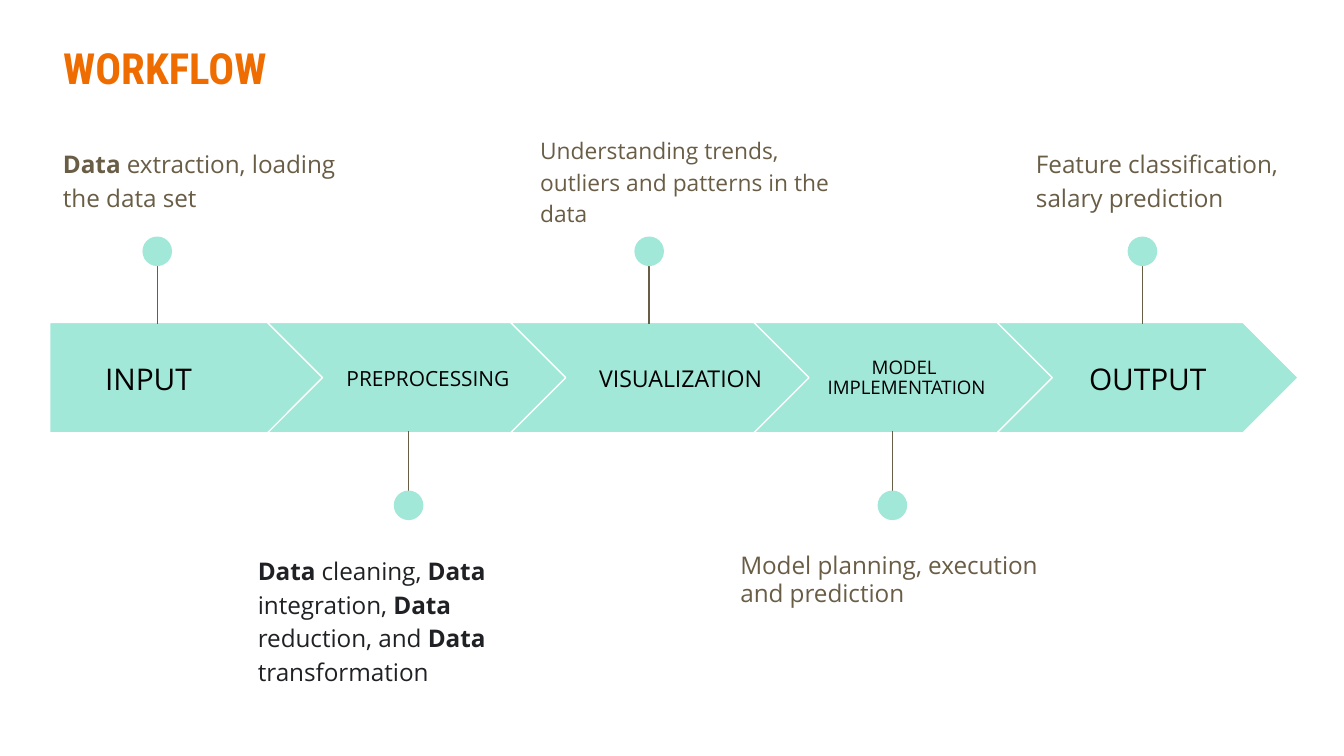
import pptx
import pptx.util
import pptx.dml.color
import pptx.enum.shapes
import pptx.enum.text
import pptx.oxml
import pptx.oxml.ns

Inches = pptx.util.Inches
Pt = pptx.util.Pt
RGBColor = pptx.dml.color.RGBColor
Shape = pptx.enum.shapes.MSO_SHAPE
Align = pptx.enum.text.PP_ALIGN
Anchor = pptx.enum.text.MSO_ANCHOR

MINT = RGBColor(0xA1, 0xE8, 0xD9)
WHITE = RGBColor(0xFF, 0xFF, 0xFF)
BLACK = RGBColor(0x00, 0x00, 0x00)
BROWN = RGBColor(0x69, 0x5D, 0x46)
DARK = RGBColor(0x20, 0x21, 0x24)
ORANGE = RGBColor(0xEF, 0x6C, 0x00)


class Deck:
    font = "Open Sans"
    head = "Roboto Condensed"
    inset = Inches(0.1)
    thin = Pt(0.75)
    dot = 0.22

    def __init__(self, wide):
        self.file = pptx.Presentation()
        self.file.slide_width = Inches(wide)
        self.file.slide_height = Inches(wide * 9 / 16)
        self.slide = self.file.slides.add_slide(self.file.slide_layouts[5])

    def frame(self, shape, anchor):
        frame = shape.text_frame
        frame.word_wrap = True
        frame.auto_size = pptx.enum.text.MSO_AUTO_SIZE.NONE
        frame.vertical_anchor = anchor
        frame.margin_left = frame.margin_right = self.inset
        frame.margin_top = frame.margin_bottom = self.inset
        return frame

    def style(self, run, size, color, bold=False, font=None):
        run.font.name = font or self.font
        run.font.size = Pt(size)
        run.font.color.rgb = color
        run.font.bold = bold

    def title(self, text, box):
        shape = self.slide.shapes.title
        shape.left, shape.top, shape.width, shape.height = map(Inches, box)
        frame = self.frame(shape, Anchor.TOP)
        frame.text = text
        para = frame.paragraphs[0]
        para.alignment = Align.LEFT
        self.style(para.runs[0], 23, ORANGE, True, self.head)

    def text(self, box, lines, size, color, align=Align.LEFT,
             anchor=Anchor.TOP, space=1.0, after=0):
        shape = self.slide.shapes.add_textbox(*map(Inches, box))
        frame = self.frame(shape, anchor)
        for i, parts in enumerate(lines):
            para = frame.add_paragraph() if i else frame.paragraphs[0]
            para.alignment = align
            para.line_spacing = space
            para.space_after = Pt(after)
            for part in parts:
                run = para.add_run()
                run.text = part
                self.style(run, size, color, part == "Data")

    def shape(self, kind, box, line=None):
        shape = self.slide.shapes.add_shape(kind, *map(Inches, box))
        shape.shadow.inherit = False
        shape.fill.solid()
        shape.fill.fore_color.rgb = MINT
        if line is None:
            shape.line.fill.background()
        else:
            shape.line.color.rgb = line
            shape.line.width = self.thin

    def pin(self, mid, top, start, end):
        line = self.slide.shapes.add_connector(
            pptx.enum.shapes.MSO_CONNECTOR.STRAIGHT,
            Inches(mid), Inches(start), Inches(mid), Inches(end))
        line.line.color.rgb = BROWN
        line.line.width = self.thin
        line._element.spPr.append(
            pptx.oxml.parse_xml("<a:effectLst %s/>" % pptx.oxml.ns.nsdecls("a")))
        self.shape(Shape.OVAL, (mid - self.dot / 2, top, self.dot, self.dot))

    def save(self):
        self.file.save("out.pptx")


UP = (1.76, 1.8, 2.41)
DOWN = (3.65, 3.82, 3.21)
FIRST, STEP = 1.99, 1.81
WIDTHS = [2.61, 2.24, 2.24, 2.24]

LABELS = [
    (["INPUT"], 0.31, 1.59, 16, Align.CENTER, 1.0),
    (["PREPROCESSING"], 2.48, 1.57, 11.2, Align.LEFT, 1.0),
    (["VISUALIZATION"], 4.28, 1.57, 12.4, Align.CENTER, 1.0),
    (["MODEL ", "IMPLEMENTATION"], 5.95, 1.59, 10, Align.CENTER, 0.9),
    (["OUTPUT"], 7.82, 1.44, 16, Align.CENTER, 1.0),
]

PINS = [(1.17, UP), (3.04, DOWN), (4.83, UP), (6.64, DOWN), (8.5, UP)]

NOTES = [
    (["Data", " extraction, loading the data set"],
     0.37, 0.98, 0.99, 13, BROWN, 1.15),
    (["Data", " cleaning, ", "Data", " integration, ", "Data",
      " reduction, and ", "Data", " transformation"],
     1.82, 4.01, 1.21, 13, DARK, 1.15),
    (["Understanding trends, outliers and patterns in the data"],
     3.92, 0.89, 0.99, 12.2, BROWN, 1.15),
    (["Model planning, execution and prediction"],
     5.41, 4.01, 0.99, 13, BROWN, 0.95),
    (["Feature classification, salary prediction"],
     7.61, 0.98, 0.99, 13, BROWN, 1.15),
]


def main():
    deck = Deck(10)
    deck.title("WORKFLOW", (0.37, 0.21, 7.62, 0.59))
    deck.shape(Shape.PENTAGON, (0.37, 2.4, 2.05, 0.82), WHITE)
    for i, wide in enumerate(WIDTHS):
        deck.shape(Shape.CHEVRON, (FIRST + i * STEP, 2.4, wide, 0.82), WHITE)
    for lines, left, wide, size, align, space in LABELS:
        deck.text((left, 2.56, wide, 0.51), [[line] for line in lines],
                  size, BLACK, align, Anchor.MIDDLE, space)
    for mid, side in PINS:
        deck.pin(mid, *side)
    for parts, left, top, high, size, color, space in NOTES:
        deck.text((left, top, 2.45, high), [parts], size, color,
                  space=space, after=12)
    deck.save()


if __name__ == "__main__":
    main()
